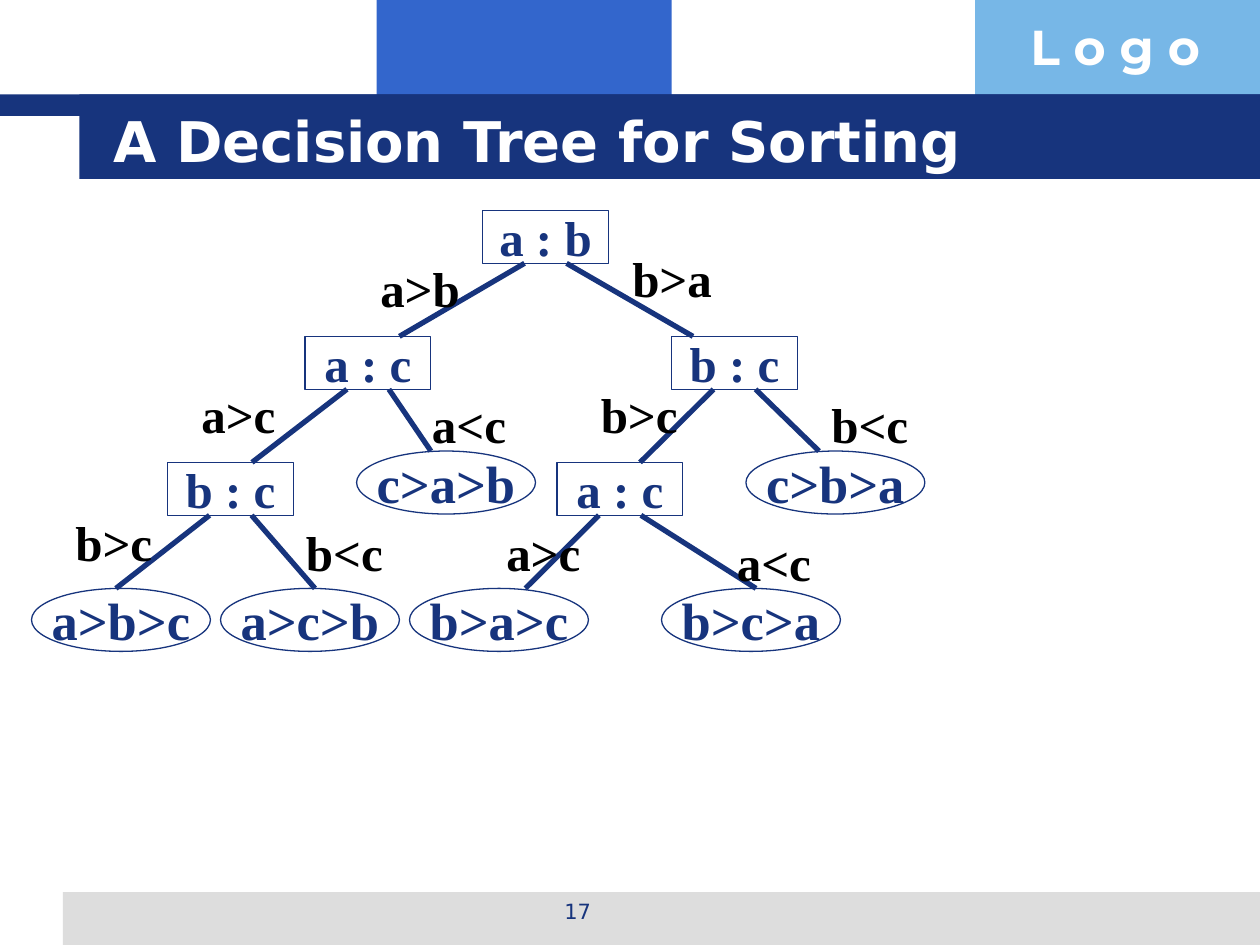
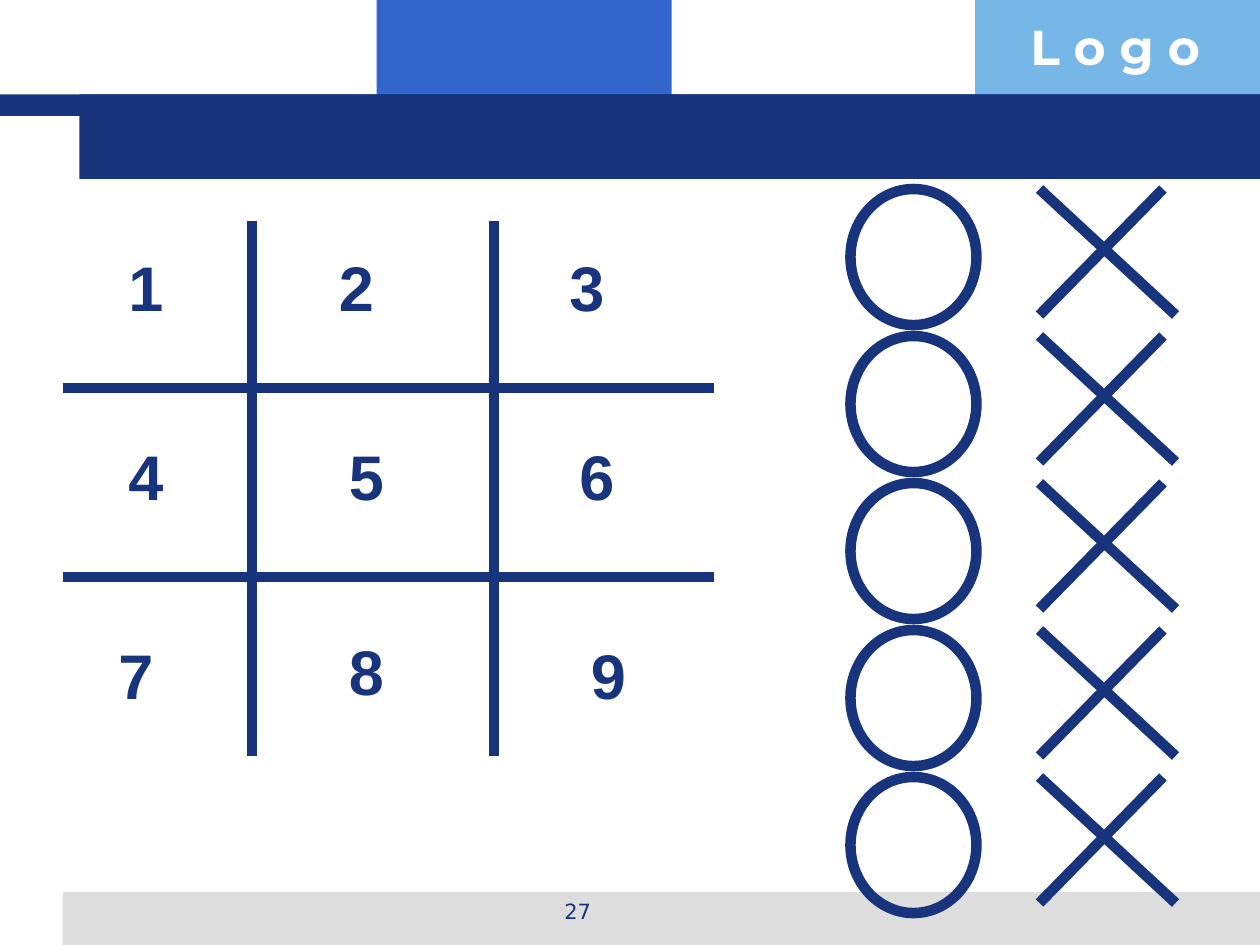
from collections import namedtuple

from lxml.etree import SubElement
from pptx import Presentation
from pptx.dml.color import RGBColor
from pptx.enum.shapes import MSO_CONNECTOR as Connector, MSO_SHAPE as Shape
from pptx.enum.text import MSO_ANCHOR as Anchor, MSO_AUTO_SIZE as AutoSize, PP_ALIGN as Align
from pptx.oxml.ns import qn
from pptx.util import Inches, Pt

NAVY, BLUE, SKY, GREY = "17347D", "3366CC", "77B7E7", "DDDDDD"
WHITE, BLACK = "FFFFFF", "000000"
HEADING, LOGO, TREE, DIGIT = "DejaVu Sans", "Montserrat", "Times New Roman", "Arial"
TITLE_LAYOUT, BLANK_LAYOUT = 5, 6

QUESTION_SIZE, ORDER_SIZE, LABEL_SIZE = (1, 0.42), (1.42, 0.5), (1, 0.57)
Order = namedtuple("Order", "text left top")
Question = namedtuple("Question", "text left top branches")
Branch = namedtuple("Branch", "label label_left label_top end child")

SORTING_TREE = Question("a : b", 3.83, 1.67, [
    Branch("a>b", 2.92, 2, 3.17, Question("a : c", 2.42, 2.67, [
        Branch("a>c", 1.5, 3, 2, Question("b : c", 1.33, 3.67, [
            Branch("b>c", 0.5, 4.02, 0.92, Order("a>b>c", 0.25, 4.67)),
            Branch("b<c", 2.33, 4.1, 2.5, Order("a>c>b", 1.75, 4.67)),
        ])),
        Branch("a<c", 3.33, 3.08, 3.42, Order("c>a>b", 2.83, 3.58)),
    ])),
    Branch("b>a", 4.92, 1.92, 5.5, Question("b : c", 5.33, 2.67, [
        Branch("b>c", 4.67, 3, 5.08, Question("a : c", 4.42, 3.67, [
            Branch("a>c", 3.92, 4.1, 4.17, Order("b>a>c", 3.25, 4.67)),
            Branch("a<c", 5.75, 4.18, 6, Order("b>c>a", 5.25, 4.67)),
        ])),
        Branch("b<c", 6.5, 3.08, 6.5, Order("c>b>a", 5.92, 3.58)),
    ])),
])

BOARD = (0.5, 1.75, 5.17, 4.25)
DIGIT_PLACES = [
    (0.42, 0.17), (2.09, 0.17), (3.92, 0.17),
    (0.42, 1.67), (2.17, 1.67), (4, 1.67),
    (0.34, 3.25), (2.17, 3.22), (4.09, 3.25),
]


def colour(value):
    """Turn a hex string into a colour."""
    return RGBColor.from_string(value)


def write(shape, text, size, font, ink, bold=True, align=Align.LEFT, anchor=Anchor.TOP, wrap=True):
    """Put one formatted paragraph into a shape."""
    frame = shape.text_frame
    frame.text = text
    frame.word_wrap = wrap
    frame.auto_size = AutoSize.NONE
    frame.vertical_anchor = anchor
    para = frame.paragraphs[0]
    para.alignment = align
    for span in para.runs:
        span.font.name, span.font.size, span.font.bold = font, Pt(size), bold
        span.font.color.rgb = colour(ink)


def add_text(page, box, text, size, font, ink, **style):
    """Add a text box."""
    write(page.shapes.add_textbox(*map(Inches, box)), text, size, font, ink, **style)


def add_block(shapes, kind, box, fill=None, weight=None):
    """Add a filled or an outlined shape."""
    block = shapes.add_shape(kind, *map(Inches, box))
    block.shadow.inherit = False
    if fill:
        block.fill.solid()
        block.fill.fore_color.rgb = colour(fill)
    else:
        block.fill.background()
    if weight:
        block.line.color.rgb = colour(NAVY)
        block.line.width = Pt(weight)
    else:
        block.line.fill.background()
    return block


def add_line(shapes, start, end, weight):
    """Add a straight navy line."""
    line = shapes.add_connector(Connector.STRAIGHT, *map(Inches, (*start, *end)))
    line.line.color.rgb = colour(NAVY)
    line.line.width = Pt(weight)
    SubElement(line.element.spPr, qn("a:effectLst"))


def add_page(deck, layout, number):
    """Add a slide with the shared bands, logo text and slide number."""
    page = deck.slides.add_slide(deck.slide_layouts[layout])
    page.background.fill.solid()
    page.background.fill.fore_color.rgb = colour(WHITE)
    for box, fill in [((2.99, 0, 2.34, 0.92), BLUE), ((7.74, 0, 2.26, 0.92), SKY),
                      ((0.5, 7.08, 9.5, 0.42), GREY)]:
        add_block(page.shapes, Shape.RECTANGLE, box, fill)
    title_band = page.shapes.add_group_shape()
    for box in [(0, 0.75, 10, 0.17), (0.63, 0.75, 9.37, 0.67)]:
        add_block(title_band.shapes, Shape.RECTANGLE, box, NAVY)
    add_text(page, (8.08, 0.08, 1.93, 0.57), "L o g o", 28, LOGO, WHITE)
    add_text(page, (3.42, 7.08, 2.33, 0.35), str(number), 12, HEADING, NAVY,
             bold=False, align=Align.CENTER)
    return page


def set_title(page, text):
    """Place the title in front of its band."""
    title = page.shapes.title
    title.left, title.top, title.width, title.height = map(Inches, (0.8, 0.8, 8.53, 0.62))
    write(title, text, 32, HEADING, WHITE, anchor=Anchor.MIDDLE)
    title.element.getparent().append(title.element)


def add_node(page, node):
    """Draw a node of the tree and everything below it."""
    is_question = isinstance(node, Question)
    kind, size, points = ((Shape.RECTANGLE, QUESTION_SIZE, 28) if is_question
                          else (Shape.OVAL, ORDER_SIZE, 30))
    block = add_block(page.shapes, kind, (node.left, node.top, *size), weight=0.75)
    write(block, node.text, points, TREE, NAVY, align=Align.CENTER, anchor=Anchor.MIDDLE, wrap=False)
    if not is_question:
        return
    width, height = size
    for third, branch in enumerate(node.branches, 1):
        start = (node.left + third * width / 3, node.top + height)
        add_line(page.shapes, start, (branch.end, branch.child.top), 3)
        add_node(page, branch.child)
        add_text(page, (branch.label_left, branch.label_top, *LABEL_SIZE),
                 branch.label, 28, TREE, BLACK)


def add_board(page, box):
    """Draw the three by three board with its numbered cells."""
    left, top, width, height = box
    grid = page.shapes.add_group_shape()
    for offset in (1.33, 2.83):
        add_line(grid.shapes, (left, top + offset), (left + width, top + offset), 6)
    for offset in (1.5, 3.42):
        add_line(grid.shapes, (left + offset, top), (left + offset, top + height), 6)
    for digit, (across, down) in enumerate(DIGIT_PLACES, 1):
        add_text(page, (left + across, top + down, 0.48, 0.7), str(digit), 36, DIGIT, NAVY, wrap=False)


def add_markers(page, left, top):
    """Draw one nought and one cross side by side."""
    add_block(page.shapes, Shape.OVAL, (left, top, 1, 1.08), weight=6)
    cross = page.shapes.add_group_shape()
    cross_left, bottom = left + 1.5, top + 1
    add_line(cross.shapes, (cross_left, top), (cross_left + 1.08, bottom), 6)
    add_line(cross.shapes, (cross_left + 0.98, top), (cross_left, bottom), 6)


def main():
    """Build and save the deck."""
    deck = Presentation()
    deck.slide_width, deck.slide_height = Inches(10), Inches(7.5)

    page = add_page(deck, TITLE_LAYOUT, 17)
    set_title(page, "A Decision Tree for Sorting")
    add_node(page, SORTING_TREE)

    page = add_page(deck, BLANK_LAYOUT, 27)
    add_board(page, BOARD)
    for row in range(5):
        add_markers(page, 6.75, 1.5 + row * 7 / 6)

    deck.save("out.pptx")


if __name__ == "__main__":
    main()
